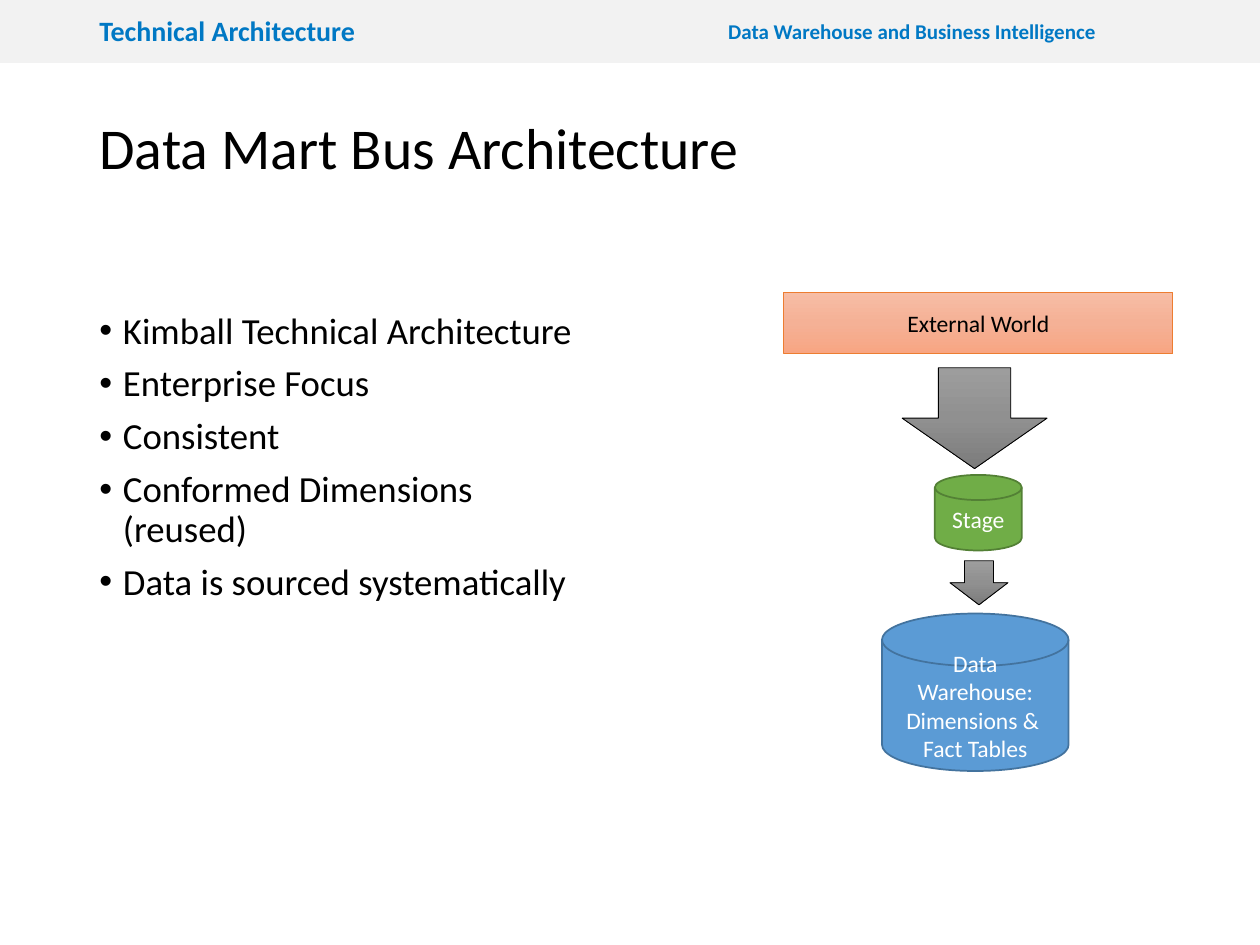
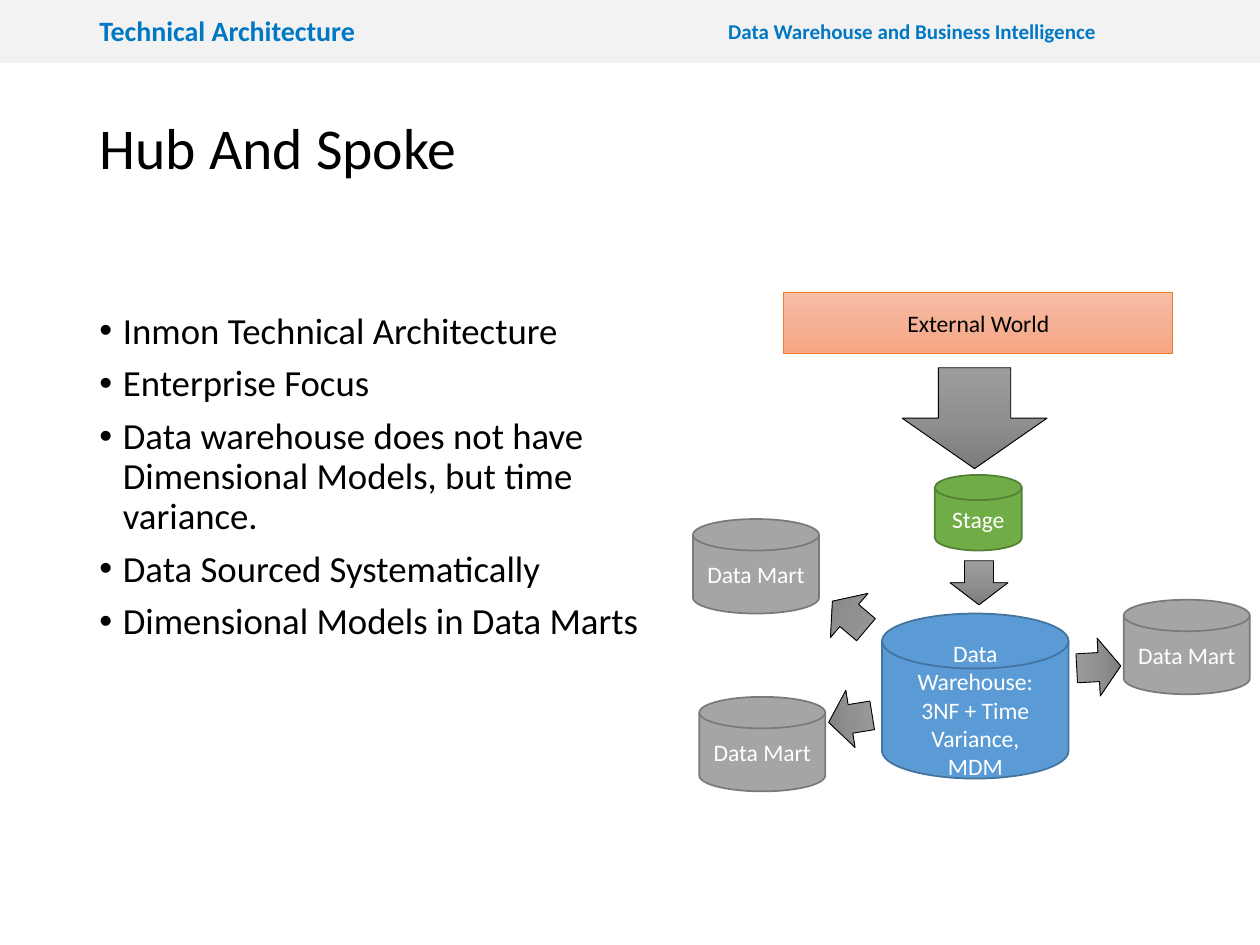
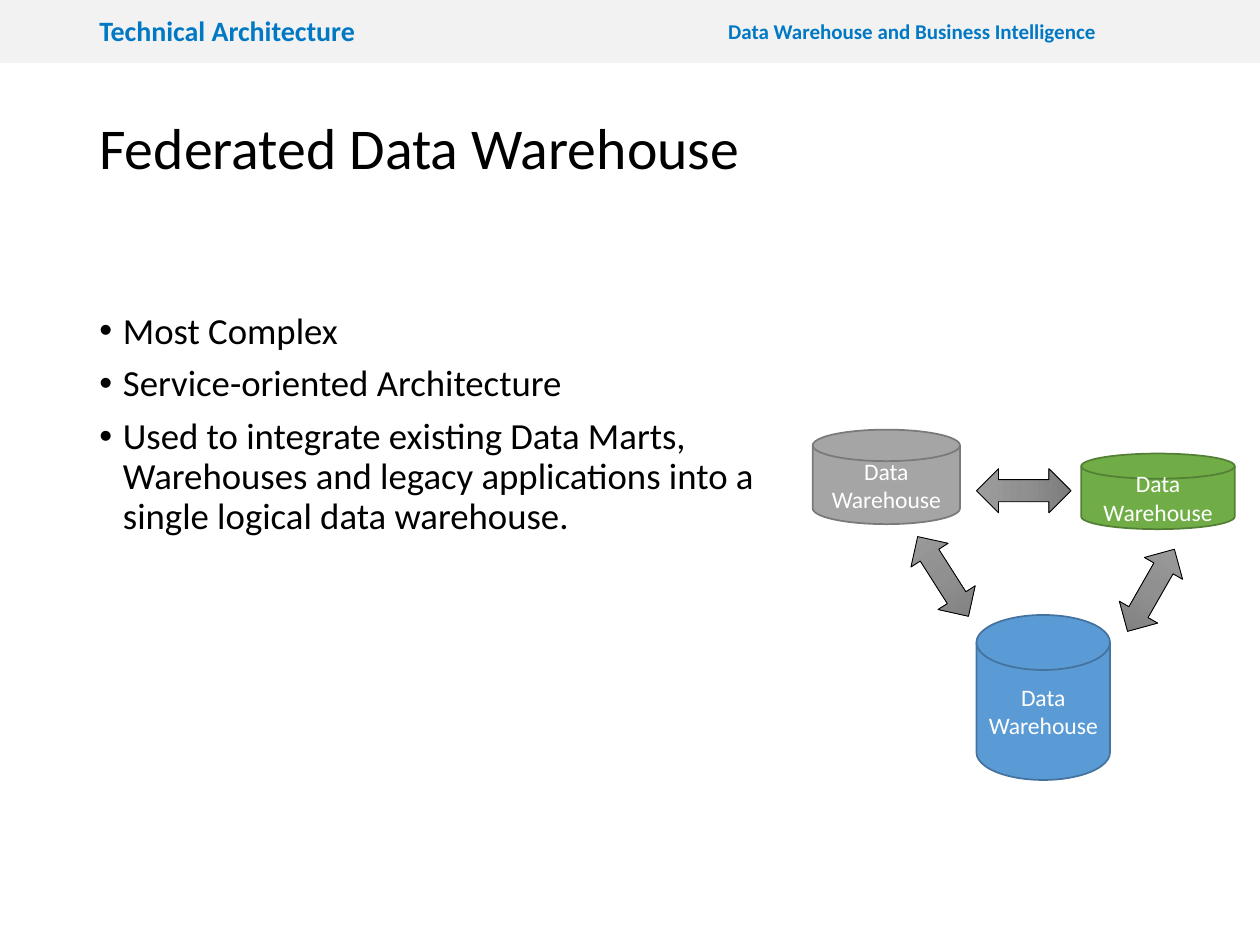
"""Build three slides on data warehouse technical architectures."""
import copy

import pptx
import pptx.dml.color
import pptx.enum.shapes
import pptx.enum.text
import pptx.oxml
import pptx.oxml.ns
import pptx.util

Pt = pptx.util.Pt
RGB = pptx.dml.color.RGBColor.from_string
SHAPE = pptx.enum.shapes.MSO_SHAPE
ALIGN = pptx.enum.text.PP_ALIGN
ANCHOR = pptx.enum.text.MSO_ANCHOR
qn = pptx.oxml.ns.qn

THEME = {
    "font": "Calibri",
    "band": "F2F2F2",
    "header": "0078C4",
    "text": "000000",
    "light": "FFFFFF",
    "sizes": {"title": 33, "body": 21, "section": 16, "course": 12, "label": 13.5},
}
STYLES = {
    "stage": {"geometry": SHAPE.FLOWCHART_MAGNETIC_DISK, "fill": ["70AD47"], "line": "538035", "width": 1},
    "warehouse": {"geometry": SHAPE.FLOWCHART_MAGNETIC_DISK, "fill": ["5B9BD5"], "line": "43739E", "width": 1},
    "mart": {"geometry": SHAPE.FLOWCHART_MAGNETIC_DISK, "fill": ["A5A5A5"], "line": "7A7A7A", "width": 1},
    "world": {"geometry": SHAPE.RECTANGLE, "fill": ["F7BDA5", "F5B196", "F8A582"],
              "line": "ED7D31", "width": 0.5, "color": THEME["text"]},
    "arrow": {"geometry": SHAPE.DOWN_ARROW, "fill": ["9D9D9D", "909090", "7C7C7C"],
              "line": "000000", "width": 0.5},
    "band": {"geometry": SHAPE.RECTANGLE, "fill": [THEME["band"]]},
}
STYLES["exchange"] = STYLES["arrow"] | {"geometry": SHAPE.UP_DOWN_ARROW}

SMALL_ARROW = (33.1, 25.2)
EXCHANGE = (25.2, 54)
MART = (72, 54)
LOADING = [
    ("stage", (534.2, 271.4, 49.7, 43.2), "Stage", 0),
    ("world", (447.8, 167, 222.5, 35.3), "External World", 0),
    ("arrow", (515.5, 210.2, 82.8, 57.6), "", 0),
    ("arrow", (542.9, 320.4, *SMALL_ARROW), "", 0),
]
SLIDES = [
    {
        "title": "Data Mart Bus Architecture",
        "body_width": 296.6,
        "bullets": ["Kimball Technical Architecture", "Enterprise Focus", "Consistent",
                    "Conformed Dimensions (reused)", "Data is sourced systematically"],
        "diagram": LOADING + [
            ("warehouse", (504, 350.6, 106.6, 90), "Data Warehouse:\vDimensions & \nFact Tables", 0),
        ],
    },
    {
        "title": "Hub And Spoke",
        "body_width": 324,
        "bullets": ["Inmon Technical Architecture", "Enterprise Focus",
                    "Data warehouse does not have Dimensional Models, but time variance.",
                    "Data Sourced Systematically", "Dimensional Models in Data Marts"],
        "diagram": LOADING + [
            ("warehouse", (504, 350.6, 106.6, 94.3), "Data Warehouse:\v3NF + Time Variance,\vMDM", 0),
            ("mart", (396, 296.6, *MART), "Data Mart", 0),
            ("mart", (399.6, 398.2, *MART), "Data Mart", 0),
            ("mart", (642.2, 342.7, *MART), "Data Mart", 0),
            ("arrow", (469.4, 398.2, *SMALL_ARROW), "", 80.8),
            ("arrow", (468.7, 339.1, *SMALL_ARROW), "", 130.3),
            ("arrow", (611.3, 368.6, *SMALL_ARROW), "", 266.9),
        ],
    },
    {
        "title": "Federated Data Warehouse",
        "body_width": 391.7,
        "bullets": ["Most Complex", "Service-oriented Architecture",
                    "Used to integrate existing Data Marts, Warehouses and legacy "
                    "applications into a single logical data warehouse."],
        "diagram": [
            ("warehouse", (558, 351.4, 76.3, 94.3), "Data Warehouse", 0),
            ("stage", (617.8, 259.2, 87.8, 43.2), "Data Warehouse", 0),
            ("mart", (464.4, 245.5, 84.2, 54), "Data Warehouse", 0),
            ("exchange", (572.4, 253.4, *EXCHANGE), "", 270),
            ("exchange", (526.3, 302.4, *EXCHANGE), "", 327.5),
            ("exchange", (645.1, 310.3, *EXCHANGE), "", 29.7),
        ],
    },
]


def write(sp, text, size, color, bold=False, anchor=ANCHOR.TOP, margin=7.2, **paragraph):
    """Fill a shape with evenly formatted paragraphs and return them."""
    tf = sp.text_frame
    tf.text = text
    frame = {"word_wrap": True, "vertical_anchor": anchor,
             "margin_left": Pt(margin), "margin_right": Pt(margin)}
    for name, value in frame.items():
        setattr(tf, name, value)
    font = {"name": THEME["font"], "size": Pt(THEME["sizes"][size]), "bold": bold}
    for p in tf.paragraphs:
        for name, value in paragraph.items():
            setattr(p, name, value)
        for r in p.runs:
            for name, value in font.items():
                setattr(r.font, name, value)
            r.font.color.rgb = RGB(color)
    return tf.paragraphs


def draw(s, kind, box, text="", rotation=0):
    """Add a styled diagram shape with an optional centred label."""
    style = STYLES[kind]
    sp = s.shapes.add_shape(style["geometry"], *map(Pt, box))
    sp.shadow.inherit = False
    sp.rotation = rotation
    colors = style["fill"]
    if len(colors) == 1:
        sp.fill.solid()
        sp.fill.fore_color.rgb = RGB(colors[0])
    else:
        sp.fill.gradient()
        sp.fill.gradient_angle = 270
        stops = sp._element.spPr.find(".//" + qn("a:gsLst"))
        stops.insert(1, copy.deepcopy(stops[0]))
        for i, (stop, color) in enumerate(zip(sp.fill.gradient_stops, colors)):
            stop.color.rgb = RGB(color)
            stop.position = i / (len(colors) - 1)
    if "line" in style:
        sp.line.color.rgb = RGB(style["line"])
        sp.line.width = Pt(style["width"])
    else:
        sp.line.fill.background()
    if text:
        write(sp, text, "label", style.get("color", THEME["light"]),
              anchor=ANCHOR.MIDDLE, margin=6.25, alignment=ALIGN.CENTER)


prs = pptx.Presentation()
prs.slide_width, prs.slide_height = Pt(720), Pt(540)

for content in SLIDES:
    s = prs.slides.add_slide(prs.slide_layouts[6])
    draw(s, "band", (0, -0.7, 720, 36.7))

    course = s.shapes.add_textbox(Pt(408.2), Pt(7.2), Pt(226.1), Pt(21.6))
    write(course, "Data Warehouse and Business Intelligence", "course", THEME["header"],
          bold=True, alignment=ALIGN.CENTER)
    section = s.shapes.add_textbox(Pt(49.7), Pt(5), Pt(324), Pt(25.9))
    write(section, "Technical Architecture", "section", THEME["header"],
          bold=True, anchor=ANCHOR.BOTTOM, line_spacing=0.9)
    title = s.shapes.add_textbox(Pt(49.7), Pt(39.6), Pt(620.6), Pt(93.6))
    write(title, content["title"], "title", THEME["text"], anchor=ANCHOR.MIDDLE, line_spacing=0.9)

    body = s.shapes.add_textbox(Pt(49.7), Pt(175), Pt(content["body_width"]), Pt(257))
    for p in write(body, "\n".join(content["bullets"]), "body", THEME["text"],
                   line_spacing=0.9, space_before=Pt(7.5)):
        pPr = p._p.get_or_add_pPr()
        pPr.set("marL", str(Pt(13.5)))
        pPr.set("indent", str(-Pt(13.5)))
        font = pptx.oxml.parse_xml(
            '<a:buFont xmlns:a="http://schemas.openxmlformats.org/drawingml/2006/main" typeface="Arial"/>')
        bullet = pptx.oxml.parse_xml(
            '<a:buChar xmlns:a="http://schemas.openxmlformats.org/drawingml/2006/main" char="•"/>')
        pPr.extend([font, bullet])

    for kind, box, text, rotation in content["diagram"]:
        draw(s, kind, box, text, rotation)

prs.save("out.pptx")
